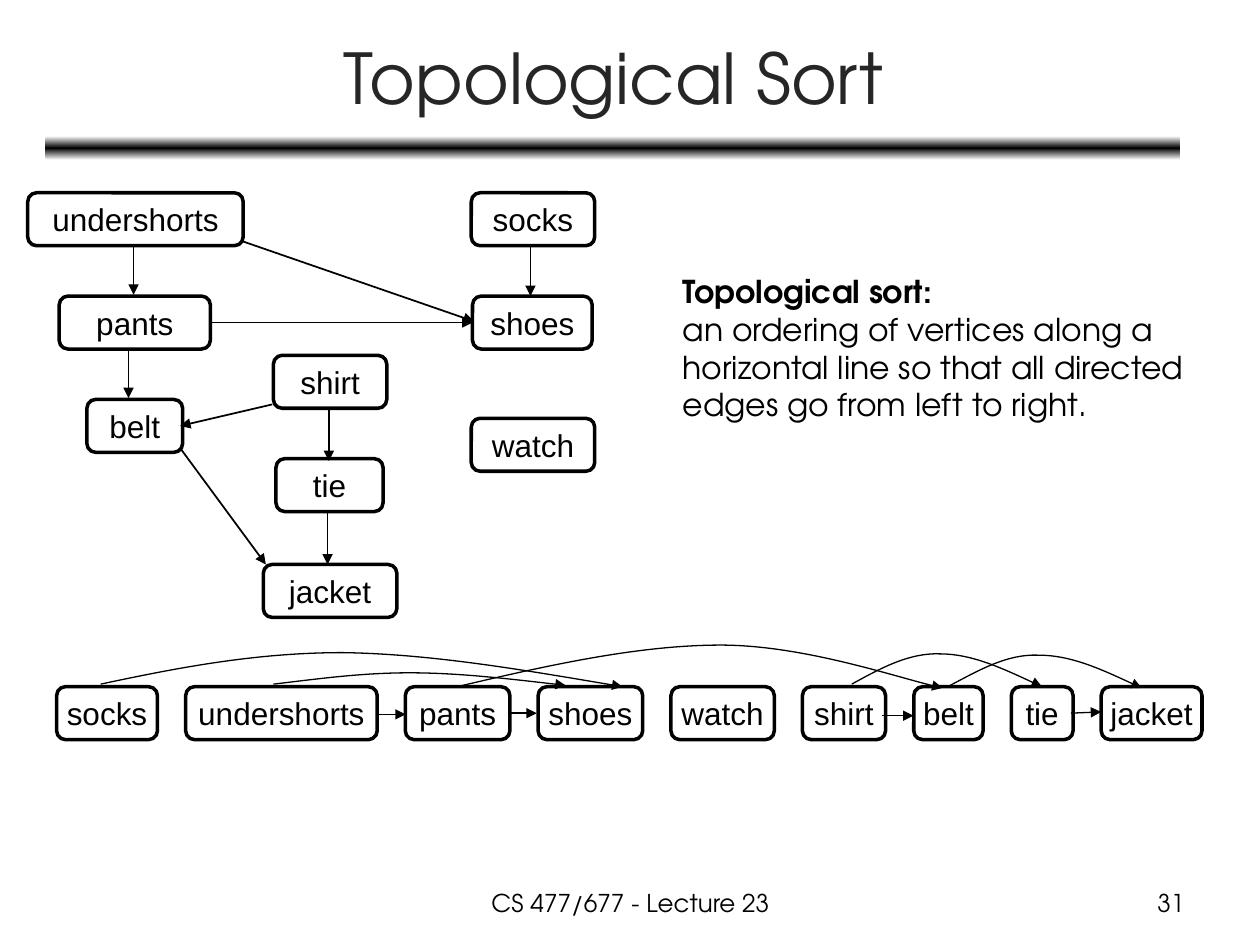
from copy import deepcopy
from dataclasses import dataclass

from pptx import Presentation
from pptx.dml.color import RGBColor
from pptx.enum.shapes import MSO_CONNECTOR as Connector, MSO_SHAPE as Shape
from pptx.enum.text import MSO_ANCHOR as Anchor, PP_ALIGN as Align
from pptx.oxml.ns import qn
from pptx.oxml.xmlchemy import OxmlElement
from pptx.util import Inches, Pt

COLORS = {"ink": "000000", "title": "262626", "paper": "FFFFFF"}
HEADING_FONT = "TeX Gyre Adventor"
BOX_FONT = "Arial"
BOX_HEIGHT = 0.42
SORTED_TOP = 5.45
SORTED_LEFT, SORTED_RIGHT = 0.45, 9.54


@dataclass(frozen=True)
class Vertex:
    """A garment box of the graph, in inches."""
    name: str
    left: float
    top: float
    width: float


@dataclass(frozen=True)
class Edge:
    """A straight arrow, in inches."""
    start: tuple[float, float]
    end: tuple[float, float]
    weight: float = 1


VERTICES = [
    Vertex("undershorts", 0.22, 1.53, 1.71),
    Vertex("pants", 0.47, 2.35, 1.2),
    Vertex("belt", 0.69, 3.17, 0.76),
    Vertex("socks", 3.74, 1.53, 0.98),
    Vertex("shoes", 3.75, 2.35, 0.95),
    Vertex("watch", 3.74, 3.32, 0.98),
    Vertex("shirt", 2.17, 2.82, 0.9),
    Vertex("tie", 2.19, 3.64, 0.85),
    Vertex("jacket", 2.09, 4.48, 1.06),
]
SORTED_WIDTHS = {
    "socks": 0.8, "undershorts": 1.52, "pants": 0.83, "shoes": 0.83, "watch": 0.82,
    "shirt": 0.66, "belt": 0.55, "tie": 0.49, "jacket": 0.8,
}
EDGES = [
    Edge((1.91, 1.91), (3.76, 2.55)),
    Edge((1.66, 2.56), (3.75, 2.56)),
    Edge((2.61, 3.24), (2.61, 3.66)),
    Edge((2.6, 4.07), (2.6, 4.48)),
    Edge((2.16, 3.21), (1.43, 3.38)),
    Edge((1.44, 3.57), (2.11, 4.48)),
    Edge((4.21, 1.96), (4.21, 2.35)),
    Edge((1.06, 1.95), (1.06, 2.34)),
    Edge((1.02, 2.77), (1.02, 3.16)),
    Edge((8.5, 5.66), (8.74, 5.65), 0.75),
    Edge((7, 5.68), (7.25, 5.68), 0.75),
    Edge((4.04, 5.66), (4.26, 5.66), 0.75),
    Edge((2.99, 5.67), (3.22, 5.67), 0.75),
]
# Each arc is a start point followed by two Bezier segments of three points.
ARCS = [
    [(7.54, 5.44), (7.77, 5.32), (7.99, 5.19), (8.24, 5.2), (8.5, 5.2), (8.78, 5.33), (9.06, 5.46)],
    [(6.76, 5.43), (6.98, 5.31), (7.21, 5.18), (7.46, 5.19), (7.71, 5.19), (7.99, 5.32), (8.27, 5.45)],
    [(3.63, 5.45), (4.35, 5.28), (5.07, 5.12), (5.72, 5.12), (6.36, 5.12), (7.19, 5.4), (7.48, 5.46)],
    [(2.17, 5.43), (2.51, 5.39), (2.86, 5.34), (3.25, 5.34), (3.63, 5.34), (4.06, 5.39), (4.49, 5.44)],
    [(0.8, 5.43), (1.41, 5.3), (2.03, 5.18), (2.72, 5.18), (3.41, 5.19), (4.17, 5.32), (4.94, 5.45)],
]
DEFINITION = [
    "Topological sort:",
    "an ordering of vertices along a",
    "horizontal line so that all directed",
    "edges go from left to right.",
]


def color(name: str) -> RGBColor:
    """Look up a named colour."""
    return RGBColor.from_string(COLORS[name])


def set_font(para, size: float, face: str, ink: str = "ink", bold: bool = False) -> None:
    """Format a whole paragraph."""
    font = para.font
    font.size, font.name, font.bold = Pt(size), face, bold
    font.color.rgb = color(ink)


def set_line(shape, weight: float, arrow: bool = False) -> None:
    """Give a shape a black outline, with an arrowhead at its end if asked."""
    shape.line.width = Pt(weight)
    shape.line.color.rgb = color("ink")
    if arrow:
        head = OxmlElement("a:tailEnd")
        head.set("type", "triangle")
        shape._element.spPr.find(qn("a:ln")).append(head)


def add_rule(page) -> None:
    """Draw the gradient bar under the title."""
    bar = page.shapes.add_shape(
        Shape.ROUNDED_RECTANGLE, Inches(0.36), Inches(1.08), Inches(9.01), Inches(0.19))
    bar.shadow.inherit = False
    bar.line.fill.background()
    bar.fill.gradient()
    bar.fill.gradient_angle = 90
    stop_list = bar._element.spPr.find(qn("a:gradFill")).find(qn("a:gsLst"))
    stop_list.insert(1, deepcopy(stop_list[0]))
    for stop, position, name in zip(bar.fill.gradient_stops, (0, 0.5, 1), ("paper", "ink", "paper")):
        stop.position = position
        stop.color.rgb = color(name)


def add_vertex(page, vertex: Vertex) -> None:
    """Draw a rounded box with its garment name."""
    box = page.shapes.add_shape(
        Shape.ROUNDED_RECTANGLE, Inches(vertex.left), Inches(vertex.top),
        Inches(vertex.width), Inches(BOX_HEIGHT))
    box.shadow.inherit = False
    box.fill.background()
    set_line(box, 2)
    frame = box.text_frame
    frame.word_wrap = False
    frame.vertical_anchor = Anchor.MIDDLE
    para = frame.paragraphs[0]
    para.text = vertex.name
    para.alignment = Align.CENTER
    set_font(para, 18, BOX_FONT)


def add_edge(page, edge: Edge) -> None:
    """Draw a straight arrow."""
    points = [Inches(value) for value in edge.start + edge.end]
    arrow = page.shapes.add_connector(Connector.STRAIGHT, *points)
    set_line(arrow, edge.weight, arrow=True)
    arrow._element.spPr.append(OxmlElement("a:effectLst"))


def add_arc(page, points: list[tuple[float, float]]) -> None:
    """Draw a curved arrow, joining each three points into one Bezier segment."""
    start, *rest = [(Inches(x), Inches(y)) for x, y in points]
    builder = page.shapes.build_freeform(*start)
    builder.add_line_segments(rest, close=False)
    arc = builder.convert_to_shape()
    segments = list(arc._element.iter(qn("a:lnTo")))
    for first in range(0, len(segments), 3):
        curve = OxmlElement("a:cubicBezTo")
        segments[first].addprevious(curve)
        for segment in segments[first:first + 3]:
            curve.append(segment[0])
            segment.getparent().remove(segment)
    arc.shadow.inherit = False
    arc.fill.background()
    set_line(arc, 0.75, arrow=True)


def add_text(page, lines: list[str], place: tuple[float, float, float, float], size: float,
             align: Align = Align.LEFT, wrap: bool = True, bold_first: bool = False) -> None:
    """Add a text box with one paragraph per line."""
    frame = page.shapes.add_textbox(*[Inches(value) for value in place]).text_frame
    frame.word_wrap = wrap
    for index, line in enumerate(lines):
        para = frame.add_paragraph() if index else frame.paragraphs[0]
        para.text = line
        para.alignment = align
        set_font(para, size, HEADING_FONT, bold=bold_first and index == 0)


def add_title(page, text: str) -> None:
    """Place and format the title placeholder."""
    title = page.shapes.title
    title.left, title.top, title.width, title.height = (
        Inches(value) for value in (0.37, 0.11, 9, 0.99))
    title.text_frame.text = text
    title.text_frame.vertical_anchor = Anchor.MIDDLE
    para = title.text_frame.paragraphs[0]
    para.alignment = Align.CENTER
    set_font(para, 40, HEADING_FONT, "title")


def sorted_vertices() -> list[Vertex]:
    """Lay the sorted garments out in a row with equal gaps."""
    span = SORTED_RIGHT - SORTED_LEFT
    gap = (span - sum(SORTED_WIDTHS.values())) / (len(SORTED_WIDTHS) - 1)
    row, left = [], SORTED_LEFT
    for name, width in SORTED_WIDTHS.items():
        row.append(Vertex(name, left, SORTED_TOP, width))
        left += width + gap
    return row


deck = Presentation()
deck.slide_width, deck.slide_height = Inches(10), Inches(7.5)
page = deck.slides.add_slide(deck.slide_layouts[5])
add_rule(page)
add_title(page, "Topological Sort")
for vertex in VERTICES + sorted_vertices():
    add_vertex(page, vertex)
for edge in EDGES:
    add_edge(page, edge)
for arc_points in ARCS:
    add_arc(page, arc_points)
add_text(page, DEFINITION, (5.32, 2.11, 4.24, 1.31), 18, wrap=False, bold_first=True)
add_text(page, ["CS 477/677 - Lecture 23"], (3.42, 7, 3.17, 0.35), 14, Align.CENTER)
add_text(page, ["31"], (7.17, 7, 2.33, 0.35), 14, Align.RIGHT)
deck.save("out.pptx")
